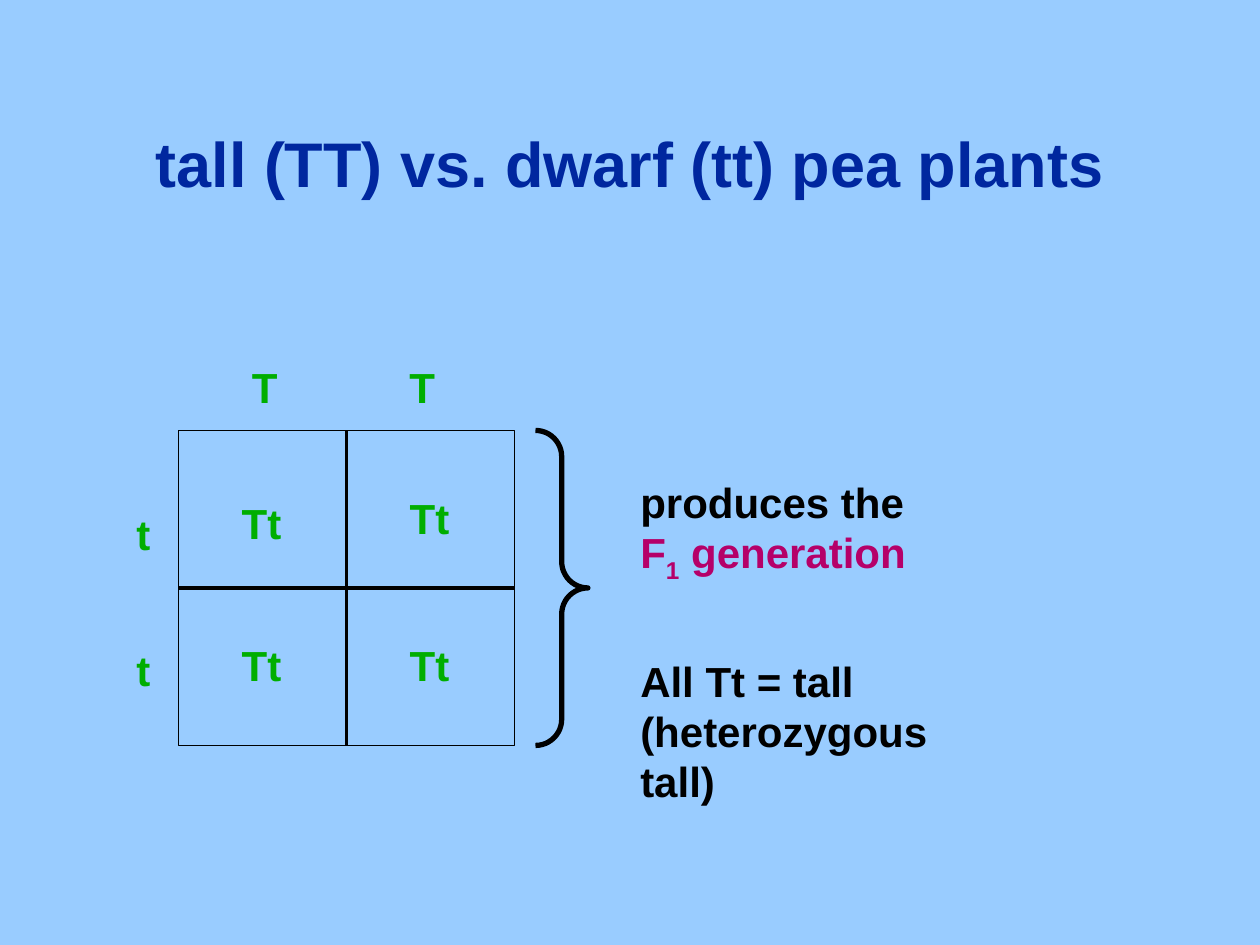
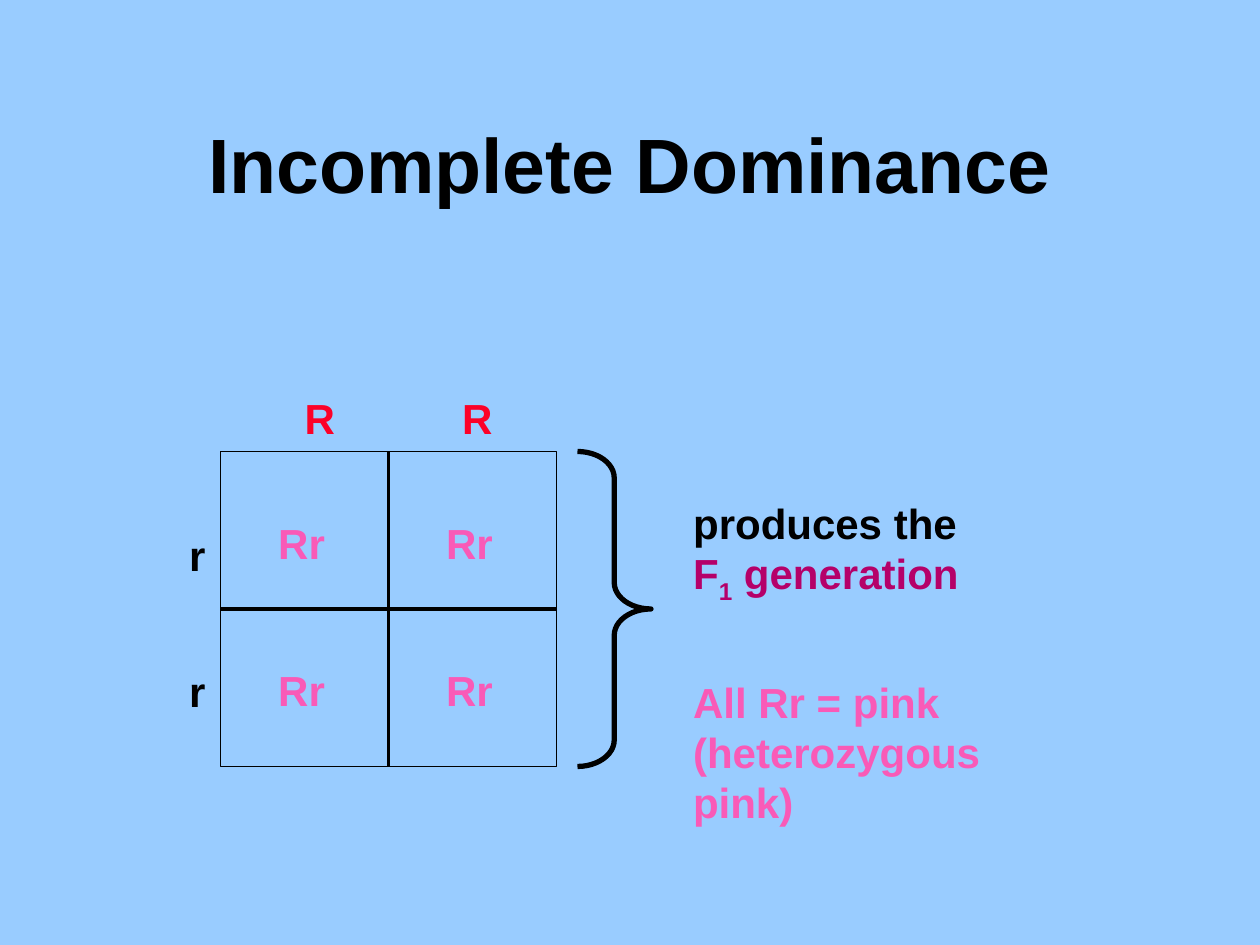
from lxml import etree
from pptx import Presentation
from pptx.dml.color import RGBColor
from pptx.enum.shapes import MSO_CONNECTOR, MSO_SHAPE
from pptx.enum.text import MSO_ANCHOR, PP_ALIGN
from pptx.oxml.ns import qn
from pptx.util import Pt

STRAIGHT = MSO_CONNECTOR.STRAIGHT
RECTANGLE, BRACE = MSO_SHAPE.RECTANGLE, MSO_SHAPE.RIGHT_BRACE
CENTER, MIDDLE, TOP = PP_ALIGN.CENTER, MSO_ANCHOR.MIDDLE, MSO_ANCHOR.TOP

COLORS = {"sky": "99CCFF", "blue": "00279F", "black": "000000", "green": "00AE00",
          "red": "FC0128", "pink": "F95AB7", "plum": "B50069"}
FONT = "Arial"
TEXT_SIZE = 24
SQUARE_WIDTH, SQUARE_HEIGHT = 192, 180
LABEL_HEIGHT = 36
NOTE_HEIGHT = 65
NOTE_TOPS = (22.7, 124.8)
BRACE_GAP = 12
TOP_LABEL_STEP, SIDE_LABEL_STEP = 90, 78

# Content: paragraphs are lists of (text, colour, subscript) runs.
# Offsets and tops are measured from the top left corner of the Punnett square.
GENERATION = [[("produces the", "black", False)],
              [("F", "plum", False), ("1", "plum", True), (" generation", "plum", False)]]

CROSSES = [
    {"title": ("tall (TT) vs. dwarf (tt) pea plants", "blue", 36),
     "square": (102, 246),
     "top_label": ("T", "green", 28.8, (34.8, -43)),
     "side_label": ("t", "green", 22.3, (-31.2, 40.8)),
     "offspring": ("Tt", "green", 36.7, 29),
     "offspring_tops": ((34.8, 31.9), (116, 116)),
     "brace": (30, 0.5),
     "notes_left": 358.8,
     "result": ("All Tt = tall", "(heterozygous tall)", "black", 227.5)},
    {"title": ("Incomplete Dominance", "black", 44),
     "square": (126, 258),
     "top_label": ("R", "red", 31.7, (41, -37)),
     "side_label": ("r", "black", 23.8, (-25, 40.8)),
     "offspring": ("Rr", "pink", 41, 25.9),
     "offspring_tops": ((34.3, 34.3), (118.3, 118.3)),
     "brace": (42, 0.36),
     "notes_left": 389,
     "result": ("All Rr = pink", "(heterozygous pink)", "pink", 241.9)},
]


def rgb(name):
    return RGBColor.from_string(COLORS[name])


def add_run(para, text, color, size=TEXT_SIZE, subscript=False):
    span = para.add_run()
    span.text = text
    span.font.name, span.font.size, span.font.bold = FONT, Pt(size), True
    span.font.color.rgb = rgb(color)
    if subscript:
        span.font._element.set("baseline", "-25000")


def add_text(page, left, top, width, height, paragraphs, right_inset=0):
    box = page.shapes.add_textbox(Pt(left), Pt(top), Pt(width), Pt(height))
    frame = box.text_frame
    frame.word_wrap, frame.vertical_anchor = True, TOP
    frame.margin_right = Pt(right_inset)
    for index, runs in enumerate(paragraphs):
        para = frame.add_paragraph() if index else frame.paragraphs[0]
        for text, color, subscript in runs:
            add_run(para, text, color, subscript=subscript)


def add_outline(page, kind, left, top, width, height, weight):
    shape = page.shapes.add_shape(kind, Pt(left), Pt(top), Pt(width), Pt(height))
    shape.shadow.inherit = False
    shape.fill.background()
    shape.line.color.rgb, shape.line.width = rgb("black"), Pt(weight)
    return shape


def add_divider(page, square, first_side, last_side):
    line = page.shapes.add_connector(STRAIGHT, 0, 0, 0, 0)
    line.begin_connect(square, first_side)
    line.end_connect(square, last_side)
    line.line.color.rgb, line.line.width = rgb("black"), Pt(2)
    etree.SubElement(line._element.spPr, qn("a:effectLst"))


def add_title(page, text, color, size):
    title = page.shapes.title
    title.left, title.top, title.width, title.height = Pt(54), Pt(48), Pt(612), Pt(90)
    title.text_frame.vertical_anchor = MIDDLE
    para = title.text_frame.paragraphs[0]
    para.alignment = CENTER
    add_run(para, text, color, size)


def add_cross(page, cross):
    add_title(page, *cross["title"])
    left, top = cross["square"]

    # Punnett square
    square = add_outline(page, RECTANGLE, left, top, SQUARE_WIDTH, SQUARE_HEIGHT, 1)
    add_divider(page, square, 2, 0)
    add_divider(page, square, 3, 1)

    # Parent alleles
    for key, step_x, step_y in (("top_label", TOP_LABEL_STEP, 0),
                                ("side_label", 0, SIDE_LABEL_STEP)):
        text, color, width, (x, y) = cross[key]
        for index in range(2):
            add_text(page, left + x + index * step_x, top + y + index * step_y,
                     width, LABEL_HEIGHT, [[(text, color, False)]])

    # Offspring in the four cells
    text, color, width, x = cross["offspring"]
    for row_tops in cross["offspring_tops"]:
        for column, y in enumerate(row_tops):
            add_text(page, left + x + column * SQUARE_WIDTH / 2, top + y,
                     width, LABEL_HEIGHT, [[(text, color, False)]])

    # Brace and notes
    brace_width, curve = cross["brace"]
    brace = add_outline(page, BRACE, left + SQUARE_WIDTH + BRACE_GAP, top,
                        brace_width, SQUARE_HEIGHT, 3)
    brace.adjustments[0], brace.adjustments[1] = curve, 0.5
    generation_top, result_top = NOTE_TOPS
    add_text(page, cross["notes_left"], top + generation_top, 167, NOTE_HEIGHT, GENERATION)
    *lines, color, width = cross["result"]
    add_text(page, cross["notes_left"], top + result_top, width, NOTE_HEIGHT,
             [[(line, color, False)] for line in lines], right_inset=30)


def main():
    deck = Presentation()
    deck.slide_width, deck.slide_height = Pt(720), Pt(540)
    background = deck.slide_master.background.fill
    background.solid()
    background.fore_color.rgb = rgb("sky")
    for cross in CROSSES:
        add_cross(deck.slides.add_slide(deck.slide_layouts[5]), cross)
    deck.save("out.pptx")


if __name__ == "__main__":
    main()
